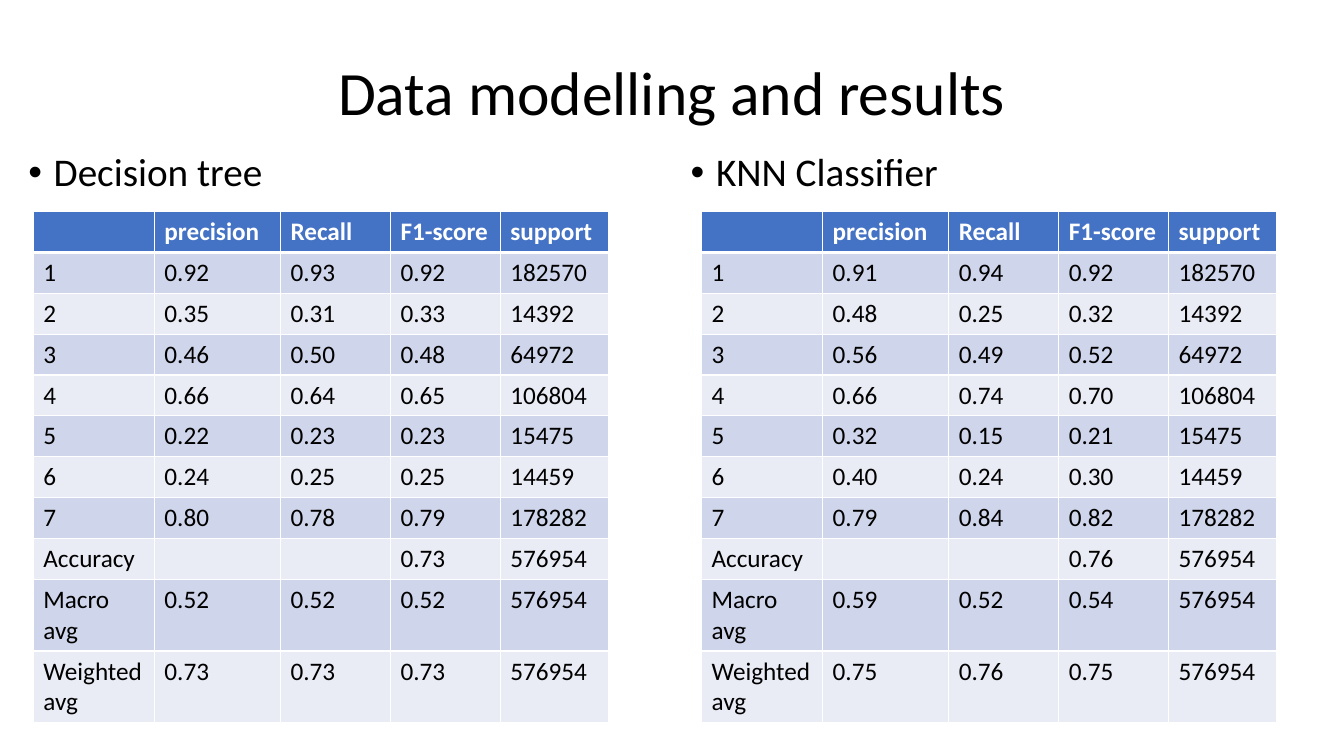
from pptx import Presentation
from pptx.dml.color import RGBColor
from pptx.enum.text import MSO_ANCHOR, MSO_AUTO_SIZE, PP_ALIGN
from pptx.oxml.ns import qn
from pptx.util import Cm, Pt
from lxml.etree import SubElement

BLACK = RGBColor(0x00, 0x00, 0x00)
WHITE = RGBColor(0xFF, 0xFF, 0xFF)
BLUE = RGBColor(0x44, 0x72, 0xC4)
BAND_DARK = RGBColor(0xCF, 0xD5, 0xEA)
BAND_LIGHT = RGBColor(0xE9, 0xEB, 0xF5)

HEADINGS = ["", "precision", "Recall", "F1-score", "support"]
ROW_LABELS = ["1", "2", "3", "4", "5", "6", "7", "Accuracy", "Macro avg", "Weighted avg"]
SUPPORT = ["182570", "14392", "64972", "106804", "15475", "14459", "178282"] + ["576954"] * 3
COLUMN_WIDTHS = [3.05, 3.18, 2.77, 2.77, 2.72]
TABLE_TOP = 5.33

# Each model: name, text left and width, table left, precision / recall / F1 per row
MODELS = [
    ("Decision tree", 0.46, 15.72, 0.84, [
        ("0.92", "0.93", "0.92"), ("0.35", "0.31", "0.33"), ("0.46", "0.50", "0.48"),
        ("0.66", "0.64", "0.65"), ("0.22", "0.23", "0.23"), ("0.24", "0.25", "0.25"),
        ("0.80", "0.78", "0.79"), ("", "", "0.73"), ("0.52", "0.52", "0.52"),
        ("0.73", "0.73", "0.73")]),
    ("KNN Classifier", 17.15, 14.4, 17.68, [
        ("0.91", "0.94", "0.92"), ("0.48", "0.25", "0.32"), ("0.56", "0.49", "0.52"),
        ("0.66", "0.74", "0.70"), ("0.32", "0.15", "0.21"), ("0.40", "0.24", "0.30"),
        ("0.79", "0.84", "0.82"), ("", "", "0.76"), ("0.59", "0.52", "0.54"),
        ("0.75", "0.76", "0.75")]),
]


def fill_placeholder(box, text, size, left, top, width, height):
    box.left, box.top, box.width, box.height = Cm(left), Cm(top), Cm(width), Cm(height)
    box.text_frame.text = text
    box.text_frame.auto_size = MSO_AUTO_SIZE.NONE
    para = box.text_frame.paragraphs[0]
    para.line_spacing = 0.9
    style_font(para.runs[0].font, size, BLACK)
    return para


def style_font(font, size, color, bold=False):
    font.name = "Calibri"
    font.size = Pt(size)
    font.bold = bold
    font.color.rgb = color


deck = Presentation()
deck.slide_width, deck.slide_height = Cm(33.87), Cm(19.05)
page = deck.slides.add_slide(deck.slide_layouts[3])
title, *bodies = page.placeholders

heading = fill_placeholder(title, "Data modelling and results", 44, 2.33, 0.58, 29.21, 3.68)
heading.alignment = PP_ALIGN.CENTER
title.text_frame.vertical_anchor = MSO_ANCHOR.MIDDLE

for body, (name, left, width, table_left, scores) in zip(bodies, MODELS):
    bullet = fill_placeholder(body, name, 28, left, 3.73, width, 12.09)
    bullet.space_before = Pt(10)
    properties = bullet._p.get_or_add_pPr()
    properties.set("marL", str(Cm(0.64)))
    properties.set("indent", str(-Cm(0.64)))

    rows = [HEADINGS]
    rows += [[label, *values, count] for label, values, count in zip(ROW_LABELS, scores, SUPPORT)]
    table = page.shapes.add_table(len(rows), len(HEADINGS), Cm(table_left), Cm(TABLE_TOP),
                                  Cm(sum(COLUMN_WIDTHS)), Cm(12.7)).table
    for column, column_width in zip(table.columns, COLUMN_WIDTHS):
        column.width = Cm(column_width)

    for r, values in enumerate(rows):
        is_header = r == 0
        table.rows[r].height = Cm(1.7 if values[0].endswith("avg") else 1)
        for c, value in enumerate(values):
            cell = table.cell(r, c)
            cell.text = value
            para = cell.text_frame.paragraphs[0]
            for target in [para, *para.runs]:
                style_font(target.font, 18, WHITE if is_header else BLACK, is_header)

            for side in ("L", "R", "T", "B"):
                below_header = (r, side) in [(0, "B"), (1, "T")]
                border = SubElement(cell._tc.get_or_add_tcPr(), qn(f"a:ln{side}"),
                                    w=str(Pt(3 if below_header else 1)))
                border_fill = SubElement(border, qn("a:solidFill"))
                SubElement(border_fill, qn("a:srgbClr"), val=str(WHITE))
            cell.fill.solid()
            cell.fill.fore_color.rgb = BLUE if is_header else (BAND_LIGHT, BAND_DARK)[r % 2]

deck.save("out.pptx")
